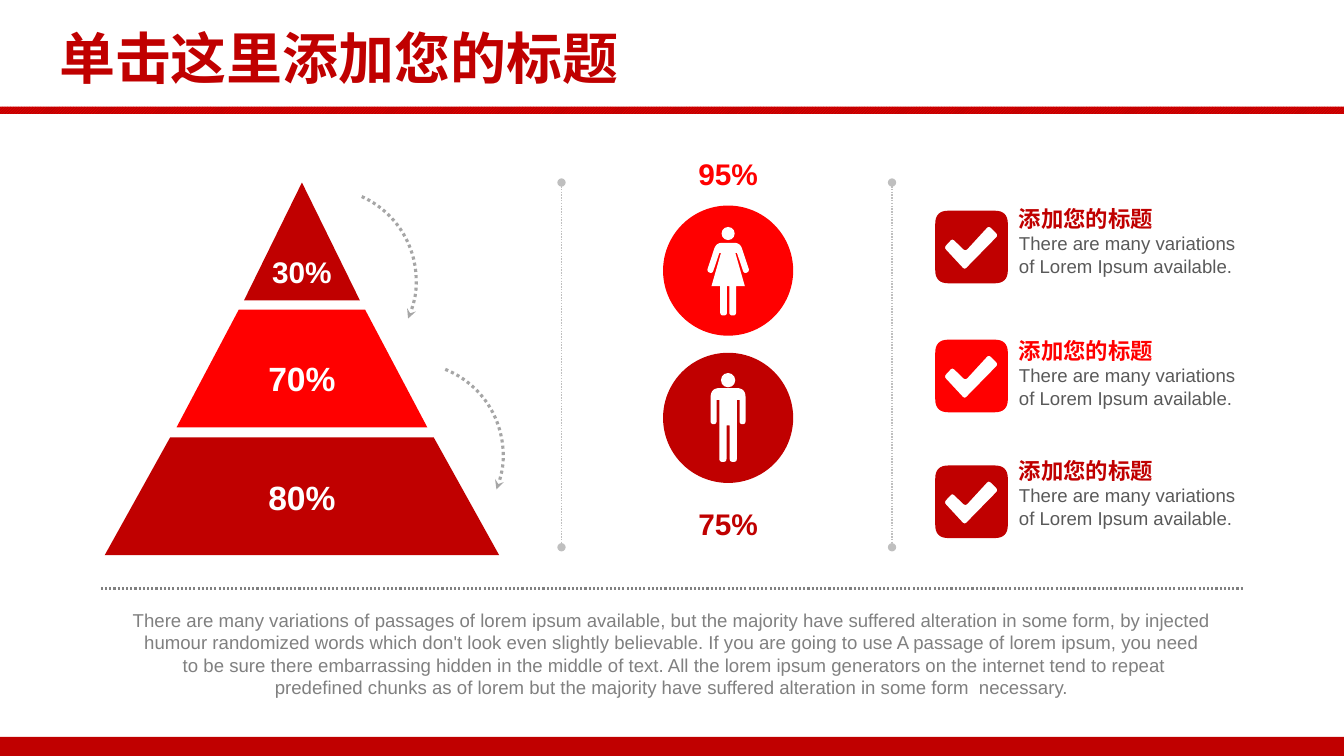
from dataclasses import dataclass

from lxml.etree import SubElement
from pptx import Presentation
from pptx.dml.color import RGBColor
from pptx.enum.dml import MSO_LINE, MSO_PATTERN
from pptx.enum.shapes import MSO_CONNECTOR, MSO_SHAPE
from pptx.enum.text import MSO_ANCHOR, MSO_AUTO_SIZE, PP_ALIGN
from pptx.oxml.ns import qn
from pptx.util import Cm, Pt


@dataclass(frozen=True)
class Theme:
    dark: str = "C00000"
    bright: str = "FF0000"
    white: str = "FFFFFF"
    body: str = "595959"
    summary: str = "808080"
    arrow: str = "A6A6A6"
    divider: str = "BFBFBF"
    latin: str = "Arial"
    chinese: str = "Noto Sans CJK SC"
    title_size: float = 40
    tier_size: float = 24
    percent_size: float = 21.3
    heading_size: float = 16
    body_size: float = 13.3


THEME = Theme()
PYRAMID_CENTER = 7.61
PEOPLE_CENTER = 18.35
TIER_HEIGHT = 2.97
CHECK_SIZE = 1.83
CHECK_MARK = [(1.59, 0.62), (1.35, 0.38), (0.76, 1.02),
              (0.43, 0.7), (0.22, 0.93), (0.74, 1.49)]
WOMAN_HALF = [(0.3, 0, 0.15), (0.54, 0.72, 0.08), (0.4, 0.78, 0.08),
              (0.22, 0.25, 0), (0.18, 0.25, 0), (0.42, 1.09, 0),
              (0.2, 1.09, 0), (0.2, 1.83, 0.08), (0.03, 1.83, 0.08),
              (0.03, 1.09, 0)]
MAN_HALF = [(0.44, 0, 0.23), (0.44, 0.91, 0.08), (0.29, 0.91, 0.08),
            (0.29, 0.3, 0), (0.22, 0.3, 0), (0.22, 1.86, 0.08),
            (0.04, 1.86, 0.08), (0.04, 0.94, 0)]
SUMMARY = [
    "There are many variations of passages of lorem ipsum available, but the "
    "majority have suffered alteration in some form, by injected humour "
    "randomized words which don't look even slightly believable. If you are "
    "going to use A passage of lorem ipsum, you need",
    " to be sure there embarrassing hidden in the middle of text. All the "
    "lorem ipsum generators on the internet tend to repeat",
    "predefined chunks as of lorem but the majority have suffered alteration "
    "in some form  necessary.",
]


def paint(shape, color):
    shape.shadow.inherit = False
    shape.fill.solid()
    shape.fill.fore_color.rgb = RGBColor.from_string(color)
    shape.line.fill.background()


def add_preset(shapes, preset, left, top, width, height, color):
    shape = shapes.add_shape(preset, Cm(left), Cm(top), Cm(width), Cm(height))
    paint(shape, color)
    return shape


def round_corners(corners):
    points = []
    for index, (x, y, radius) in enumerate(corners):
        if not radius:
            points.append((x, y))
            continue
        ends = []
        for other in (corners[index - 1], corners[(index + 1) % len(corners)]):
            dx, dy = other[0] - x, other[1] - y
            share = min(radius / (dx * dx + dy * dy) ** 0.5, 0.5)
            ends.append((x + dx * share, y + dy * share))
        (x1, y1), (x2, y2) = ends
        for step in range(9):
            t = step / 8
            a, b, c = (1 - t) ** 2, 2 * t * (1 - t), t * t
            points.append((a * x1 + b * x + c * x2, a * y1 + b * y + c * y2))
    return points


def add_outline(shapes, left, top, contours, color):
    builder = None
    for corners in contours:
        points = [(Cm(left + x), Cm(top + y)) for x, y in round_corners(corners)]
        if builder is None:
            builder = shapes.build_freeform(*points[0])
        else:
            builder.move_to(*points[0])
        builder.add_line_segments(points[1:], close=True)
    paint(builder.convert_to_shape(), color)


def style_line(shape, color, width, head=None, tail=None):
    shape.line.color.rgb = RGBColor.from_string(color)
    shape.line.width = Pt(width)
    shape.line.dash_style = MSO_LINE.ROUND_DOT
    outline = shape._element.spPr.find(qn("a:ln"))
    for tag, end in (("a:headEnd", head), ("a:tailEnd", tail)):
        if end:
            SubElement(outline, qn(tag)).set("type", end)


def add_dotted_line(shapes, x1, y1, x2, y2, color, width, end=None):
    rule = shapes.add_connector(
        MSO_CONNECTOR.STRAIGHT, Cm(x1), Cm(y1), Cm(x2), Cm(y2))
    style_line(rule, color, width, end, end)
    SubElement(rule._element.spPr, qn("a:effectLst"))


def add_curved_arrow(shapes, left, top, rotation):
    size = Cm(4.65)
    arrow = shapes.add_shape(MSO_SHAPE.ARC, Cm(left), Cm(top), size, size)
    arrow.shadow.inherit = False
    arrow.fill.background()
    arrow.rotation = rotation
    style_line(arrow, THEME.arrow, 2.25, tail="stealth")


def add_text(shapes, left, top, width, height, paragraphs, align=PP_ALIGN.LEFT,
             inset=True, wrap=True, anchor=MSO_ANCHOR.TOP, latin=THEME.latin):
    box = shapes.add_textbox(Cm(left), Cm(top), Cm(width), Cm(height))
    frame = box.text_frame
    frame.word_wrap = wrap
    frame.auto_size = MSO_AUTO_SIZE.SHAPE_TO_FIT_TEXT
    frame.vertical_anchor = anchor
    if not inset:
        frame.margin_left = frame.margin_right = Cm(0)
        frame.margin_top = frame.margin_bottom = Cm(0)
    for index, (lines, size, color, bold) in enumerate(paragraphs):
        paragraph = frame.add_paragraph() if index else frame.paragraphs[0]
        paragraph.alignment = align
        for number, line in enumerate(lines):
            if number:
                paragraph.add_line_break()
            run = paragraph.add_run()
            run.text = line
            run.font.size = Pt(size)
            run.font.bold = bold
            run.font.name = latin
            run.font.color.rgb = RGBColor.from_string(color)
            SubElement(run.font._element, qn("a:ea")).set("typeface", THEME.chinese)


def add_percent(shapes, center, top, text, size, color):
    add_text(shapes, center - 0.85, top, 1.7, size * 0.0425,
             [([text], size, color, True)], PP_ALIGN.CENTER,
             inset=False, wrap=False, anchor=MSO_ANCHOR.BOTTOM)


def add_tier(shapes, top, half_top, half_bottom, color):
    corners = [(-half_bottom, TIER_HEIGHT, 0), (-half_top, 0, 0),
               (half_top, 0, 0), (half_bottom, TIER_HEIGHT, 0)]
    add_outline(shapes, PYRAMID_CENTER, top, [corners], color)


def add_person(shapes, circle_top, color, head_top, head_size, body_top, half):
    person = shapes.add_group_shape().shapes
    for top, size, fill in ((circle_top, 3.28, color),
                            (head_top, head_size, THEME.white)):
        add_preset(person, MSO_SHAPE.OVAL, PEOPLE_CENTER - size / 2, top,
                   size, size, fill)
    mirrored = [(-x, y, radius) for x, y, radius in reversed(half)]
    add_outline(person, PEOPLE_CENTER, body_top, [half + mirrored], THEME.white)


def add_check_item(shapes, check_top, text_top, color):
    tile = [(x, y, 0.33) for x, y in ((0, 0), (CHECK_SIZE, 0),
                                      (CHECK_SIZE, CHECK_SIZE), (0, CHECK_SIZE))]
    mark = [(x, y, 0.08) for x, y in CHECK_MARK]
    add_outline(shapes, 23.57, check_top, [tile, mark], color)
    add_text(shapes, 25.43, text_top, 6.76, 2.08, [
        (["添加您的标题"], THEME.heading_size, color, True),
        (["There are many variations ", "of Lorem Ipsum available."],
         THEME.body_size, THEME.body, False)])


def main():
    deck = Presentation()
    deck.slide_width, deck.slide_height = Cm(33.87), Cm(19.05)
    shapes = deck.slides.add_slide(deck.slide_layouts[6]).shapes

    add_preset(shapes, MSO_SHAPE.RECTANGLE, 0, 18.57, 33.87, 0.48, THEME.dark)
    title_rule = add_preset(
        shapes, MSO_SHAPE.RECTANGLE, 0, 2.69, 33.87, 0.18, THEME.dark)
    title_rule.fill.patterned()
    title_rule.fill.pattern = MSO_PATTERN.DARK_UPWARD_DIAGONAL
    title_rule.fill.fore_color.rgb = RGBColor.from_string(THEME.bright)
    title_rule.fill.back_color.rgb = RGBColor.from_string(THEME.dark)
    add_text(shapes, 1.24, 0.46, 14.81, 1.96,
             [(["单击这里添加您的标题"], THEME.title_size, THEME.dark, True)],
             wrap=False, latin=THEME.chinese)

    for top, half_top, half_bottom, color, label_top, label, size in (
            (4.6, 0, 1.46, THEME.dark, 6.4, "30%", THEME.percent_size),
            (7.8, 1.59, 3.16, THEME.bright, 9.02, "70%", THEME.tier_size),
            (11.02, 3.32, 4.97, THEME.dark, 12.01, "80%", THEME.tier_size)):
        add_tier(shapes, top, half_top, half_bottom, color)
        add_percent(shapes, PYRAMID_CENTER, label_top, label, size, THEME.white)
    add_curved_arrow(shapes, 5.84, 4.75, 24.2)
    add_curved_arrow(shapes, 8.03, 9.14, 21.9)

    for x in (14.15, 22.48):
        add_dotted_line(shapes, x, 4.6, x, 13.79, THEME.divider, 1, "oval")
    add_dotted_line(shapes, 2.54, 14.83, 31.32, 14.83, THEME.summary, 1.5)

    add_percent(shapes, PEOPLE_CENTER, 3.91, "95%", THEME.percent_size, THEME.bright)
    add_person(shapes, 5.18, THEME.bright, 5.72, 0.33, 6.12, WOMAN_HALF)
    add_person(shapes, 8.89, THEME.dark, 9.4, 0.36, 9.78, MAN_HALF)
    add_percent(shapes, PEOPLE_CENTER, 12.73, "75%", THEME.percent_size, THEME.dark)

    for check_top, text_top, color in ((5.31, 5.05, THEME.dark),
                                       (8.56, 8.38, THEME.bright),
                                       (11.73, 11.4, THEME.dark)):
        add_check_item(shapes, check_top, text_top, color)

    add_text(shapes, 2.57, 15.34, 28.73, 2.29,
             [(SUMMARY, THEME.body_size, THEME.summary, False)],
             PP_ALIGN.CENTER, inset=False)
    deck.save("out.pptx")


if __name__ == "__main__":
    main()
